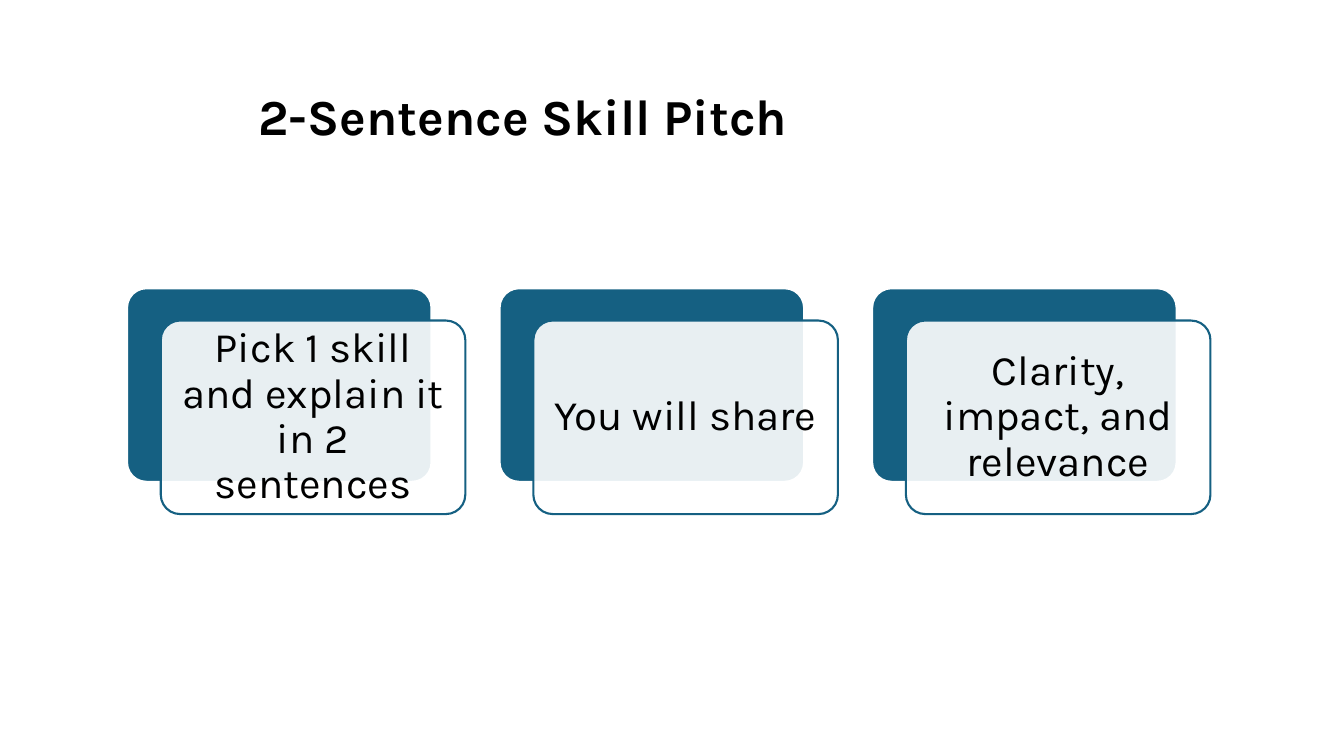
from dataclasses import dataclass

from lxml.etree import SubElement
from pptx import Presentation
from pptx.dml.color import RGBColor
from pptx.enum.shapes import MSO_SHAPE as Preset
from pptx.enum.text import MSO_ANCHOR as Anchor, PP_ALIGN as Align
from pptx.oxml.ns import qn
from pptx.util import Inches, Pt


@dataclass(frozen=True)
class Theme:
    font: str = "Karla"
    ink: RGBColor = RGBColor(0x00, 0x00, 0x00)
    paper: RGBColor = RGBColor(0xFF, 0xFF, 0xFF)
    accent: RGBColor = RGBColor(0x15, 0x60, 0x82)
    title_size: int = 36
    card_size: int = 30
    line_width: float = 1.5
    line_spacing: float = 0.9
    corner: float = 0.1
    card_opacity: int = 90


@dataclass(frozen=True)
class Grid:
    left: float = 1.26
    top: float = 2.86
    column_step: float = 3.695
    width: float = 3.02
    height: float = 1.92
    shift_x: float = 0.335
    shift_y: float = 0.32

    def panel(self, column):
        return self.left + column * self.column_step, self.top, self.width, self.height

    def card(self, column):
        left, top, width, height = self.panel(column)
        return left + self.shift_x, top + self.shift_y, width, height


THEME = Theme()
GRID = Grid()
TITLE = "2-Sentence Skill Pitch"
TITLE_BOX = (2.49, 0.55, 8.34, 1.27)
STEPS = (
    "Pick 1 skill and explain it in 2 sentences",
    "You will share",
    "Clarity, impact, and relevance",
)


def write_text(shape, text, size, insets, align, bold=False):
    frame = shape.text_frame
    frame.word_wrap = True
    frame.vertical_anchor = Anchor.MIDDLE
    frame.margin_left = frame.margin_right = Inches(insets[0])
    frame.margin_top = frame.margin_bottom = Inches(insets[1])
    paragraph = frame.paragraphs[0]
    paragraph.alignment = align
    paragraph.line_spacing = THEME.line_spacing
    run = paragraph.add_run()
    run.text = text
    run.font.name = THEME.font
    run.font.size = Pt(size)
    run.font.bold = bold
    run.font.color.rgb = THEME.ink


def add_title(slide):
    title = slide.shapes.add_textbox(*map(Inches, TITLE_BOX))
    write_text(title, TITLE, THEME.title_size, (0.07, 0.04), Align.LEFT, bold=True)


def add_rounded(group, box, fill, line):
    shape = group.shapes.add_shape(Preset.ROUNDED_RECTANGLE, *map(Inches, box))
    shape.adjustments[0] = THEME.corner
    shape.shadow.inherit = False
    shape.fill.solid()
    shape.fill.fore_color.rgb = fill
    shape.line.color.rgb = line
    shape.line.width = Pt(THEME.line_width)
    return shape


def set_opacity(shape, percent):
    color = shape.fill._xPr.find(qn("a:solidFill"))[0]
    SubElement(color, qn("a:alpha")).set("val", str(percent * 1000))


def add_step(group, column, text):
    add_rounded(group, GRID.panel(column), THEME.accent, THEME.paper)
    card = add_rounded(group, GRID.card(column), THEME.paper, THEME.accent)
    set_opacity(card, THEME.card_opacity)
    write_text(card, text, THEME.card_size, (0.12, 0.12), Align.CENTER)


def main():
    presentation = Presentation()
    presentation.slide_width = Inches(13.33)
    presentation.slide_height = Inches(7.5)
    slide = presentation.slides.add_slide(presentation.slide_layouts[6])
    add_title(slide)
    steps = slide.shapes.add_group_shape()
    for column, text in enumerate(STEPS):
        add_step(steps, column, text)
    presentation.save("out.pptx")


if __name__ == "__main__":
    main()
